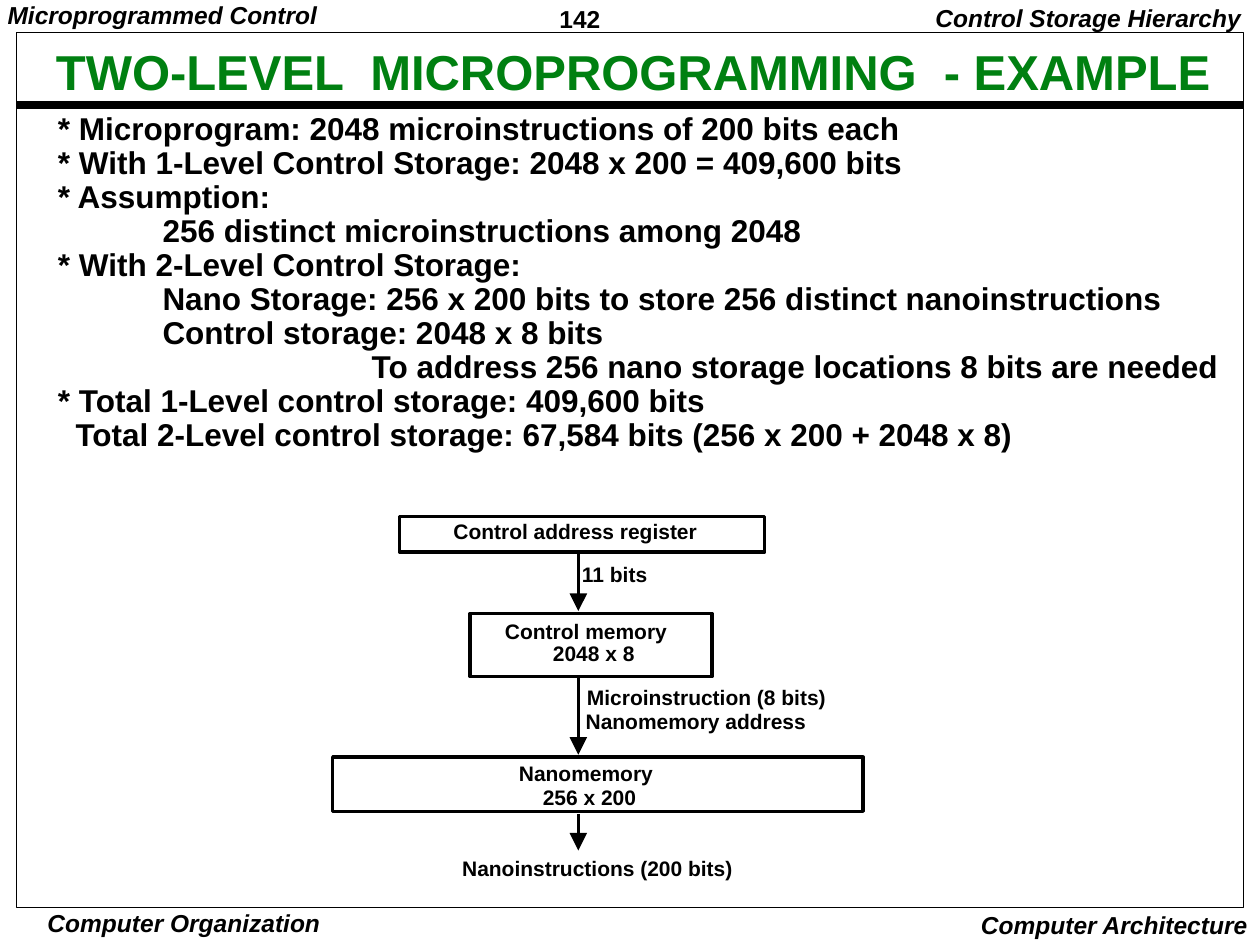
from dataclasses import dataclass
from lxml import etree
from pptx import Presentation
from pptx.dml.color import RGBColor
from pptx.enum import shapes as sh, text as tx
from pptx.oxml import ns
from pptx.util import Inches, Pt


@dataclass(frozen=True)
class Theme:
    font: str = "Arial"
    ink: str = "000000"
    green: str = "008011"
    title: int = 28
    body: int = 18
    edge: int = 14
    label: int = 12
    bar: float = 4.5
    rule: float = 2
    thin: float = 0.5


T = Theme()
LEFT, MID, RIGHT = tx.PP_ALIGN.LEFT, tx.PP_ALIGN.CENTER, tx.PP_ALIGN.RIGHT


def write(slide, box, lines, size=T.label, color=T.ink, italic=False,
          align=LEFT, space=0.9, inset=(0.1, 0.05),
          anchor=tx.MSO_ANCHOR.TOP):
    """Put text in a box; each line is a string or (indent, string)."""
    frame = slide.shapes.add_textbox(*map(Inches, box)).text_frame
    frame.word_wrap = True
    frame.vertical_anchor = anchor
    frame.margin_left = frame.margin_right = Inches(inset[0])
    frame.margin_top = frame.margin_bottom = Inches(inset[1])
    for i, line in enumerate([lines] if isinstance(lines, str) else lines):
        indent, words = (0, line) if isinstance(line, str) else line
        para = frame.add_paragraph() if i else frame.paragraphs[0]
        para.alignment = align
        para.line_spacing = space
        if indent:
            para._p.get_or_add_pPr().set("marL", str(Inches(indent)))
        run = para.add_run()
        run.text = words
        font = run.font
        font.name, font.size = T.font, Pt(size)
        font.bold, font.italic = True, italic
        font.color.rgb = RGBColor.from_string(color)


def frame_box(slide, box, width):
    rect = slide.shapes.add_shape(sh.MSO_SHAPE.RECTANGLE, *map(Inches, box))
    rect.shadow.inherit = False
    rect.fill.background()
    rect.line.color.rgb = RGBColor.from_string(T.ink)
    rect.line.width = Pt(width)


def draw_line(slide, start, end, width, arrow=False):
    line = slide.shapes.add_connector(
        sh.MSO_CONNECTOR.STRAIGHT, *map(Inches, (*start, *end)))
    line.line.color.rgb = RGBColor.from_string(T.ink)
    line.line.width = Pt(width)
    if arrow:
        etree.SubElement(line.line._get_or_add_ln(), ns.qn("a:tailEnd"),
                         type="triangle", w="lg", len="lg")
    etree.SubElement(line._element.spPr, ns.qn("a:effectLst"))


def add_page(slide, box):
    """Page frame, title bar and the running heads and feet."""
    x, y, w, h = box
    draw_line(slide, (x, y + 0.57), (x + w, y + 0.57), T.bar)
    frame_box(slide, box, T.thin)
    top, foot = y - 0.26, y + h
    write(slide, (x + 4.24, top, 1.08, 0.29), "142", size=T.edge,
          space=1.01, inset=(0.07, 0.03))
    heads = [
        ((x - 0.14, top, 2.8, 0.27), "Microprogrammed Control", LEFT, 0.9, (0.07, 0.03)),
        ((x + 6.95, top, 2.87, 0.31), "Control Storage Hierarchy", RIGHT, 0.9, (0.1, 0.05)),
        ((x + 0.12, foot, 2.42, 0.26), "Computer Organization", MID, 1, (0.03, 0.01)),
        ((x + 7.35, foot - 0.03, 2.52, 0.33), "Computer Architecture", RIGHT, 1, (0.1, 0.05)),
    ]
    for place, words, align, space, inset in heads:
        write(slide, place, words, size=T.edge, italic=True, align=align,
              space=space, inset=inset)


def add_title(slide, box):
    write(slide, box, "TWO-LEVEL  MICROPROGRAMMING  - EXAMPLE", size=T.title,
          color=T.green, align=MID, anchor=tx.MSO_ANCHOR.MIDDLE)


def add_body(slide, box):
    step = 0.83
    write(slide, box, [
        "* Microprogram: 2048 microinstructions of 200 bits each",
        "* With 1-Level Control Storage: 2048 x 200 = 409,600 bits",
        "* Assumption:",
        (step, "256 distinct microinstructions among 2048"),
        "* With 2-Level Control Storage:",
        (step, "Nano Storage: 256 x 200 bits to store 256 distinct nanoinstructions"),
        (step, "Control storage: 2048 x 8 bits"),
        (3 * step, "To address 256 nano storage locations 8 bits are needed"),
        "* Total 1-Level control storage: 409,600 bits",
        (0.14, "Total 2-Level control storage: 67,584 bits (256 x 200 + 2048 x 8)"),
    ], size=T.body, inset=(0.07, 0.03))


def add_chain(slide, box):
    """Register, control memory and nanomemory, joined by arrows."""
    x, y, w, h = box
    # Storage blocks
    for left, top, wide, high in [(0.53, 0.01, 2.9, 0.28),
                                  (1.09, 0.78, 1.92, 0.5),
                                  (0, 1.92, w, 0.43)]:
        frame_box(slide, (x + left, y + top, wide, high), T.rule)
    # Arrows down the common axis
    axis = x + 1.95
    for top, tip in [(0.29, 0.76), (1.28, 1.9), (2.37, 2.66)]:
        draw_line(slide, (axis, y + top), (axis, y + tip), T.rule, arrow=True)
    # Labels, each with room to spare on the right
    spare = 0.15
    for left, top, wide, words in [
        (0.86, 0, 2.13, "Control address register"),
        (1.88, 0.34, 0.73, "11 bits"),
        (1.27, 0.79, 1.49, "Control memory"),
        (1.65, 0.97, 0.85, "2048 x 8"),
        (1.92, 1.32, 2.1, "Microinstruction (8 bits)"),
        (1.91, 1.51, 1.95, "Nanomemory address"),
        (1.38, 1.92, 1.26, "Nanomemory"),
        (1.57, 2.11, 0.94, "256 x 200"),
        (0.93, 2.67, 2.35, "Nanoinstructions (200 bits)"),
    ]:
        write(slide, (x + left, y + top, wide + spare, 0.28), words)


def main():
    deck = Presentation()
    deck.slide_width, deck.slide_height = Inches(10), Inches(7.5)
    slide = deck.slides.add_slide(deck.slide_layouts[6])
    add_page(slide, (0.13, 0.26, 9.74, 6.94))
    add_title(slide, (0.3, 0.38, 9.45, 0.43))
    add_body(slide, (0.39, 0.87, 9.4, 2.76))
    add_chain(slide, (2.64, 4.09, 4.21, 2.95))
    deck.save("out.pptx")


if __name__ == "__main__":
    main()
